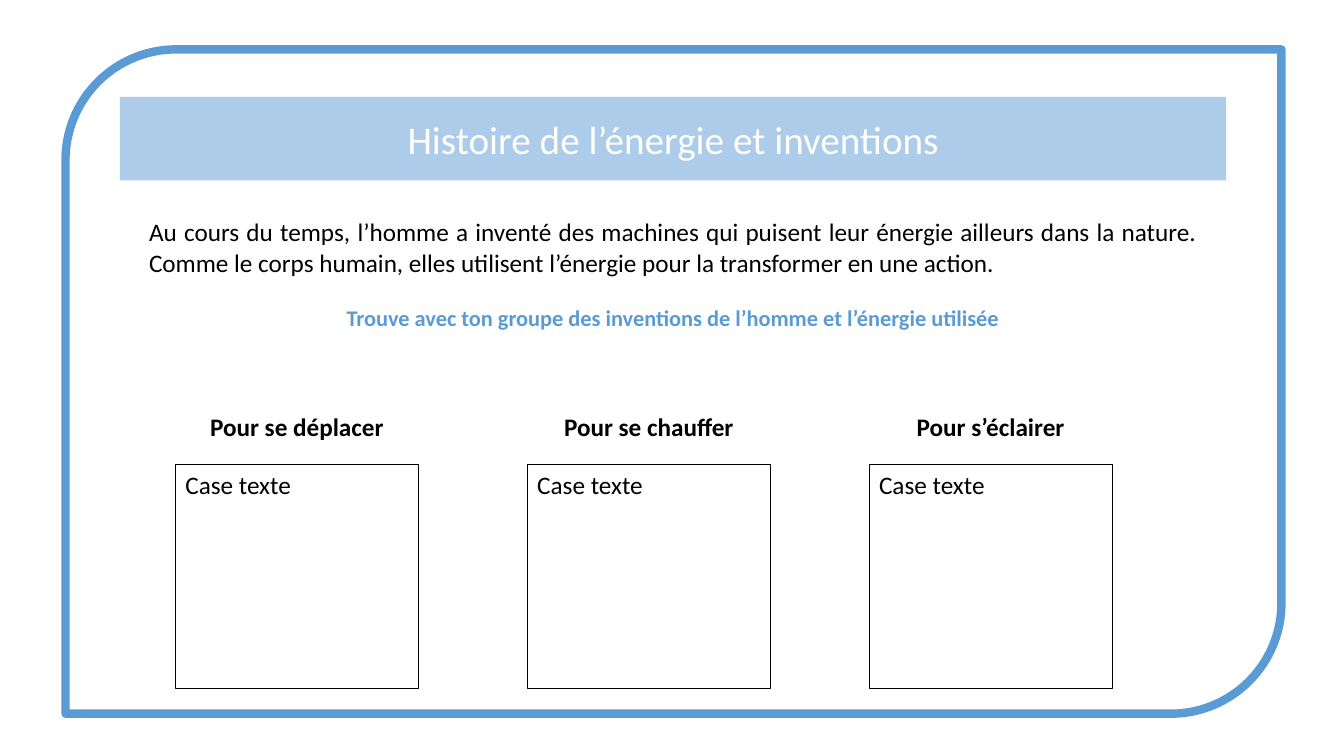
from lxml import etree
from pptx import Presentation
from pptx import util as u
from pptx.dml.color import RGBColor
from pptx.enum import shapes, text
from pptx.oxml.ns import qn

BLUE = RGBColor(0x5B, 0x9B, 0xD5)
WHITE = RGBColor(0xFF, 0xFF, 0xFF)
BLACK = RGBColor(0, 0, 0)
FONT = "Calibri"

TITLE = "Histoire de l’énergie et inventions"
INTRODUCTION = (
    "Au cours du temps, l’homme a inventé des machines qui puisent leur énergie "
    "ailleurs dans la nature. Comme le corps humain, elles utilisent l’énergie "
    "pour la transformer en une action."
)
INSTRUCTION = "Trouve avec ton groupe des inventions de l’homme et l’énergie utilisée"
COLUMNS = [
    ("Pour se déplacer", 1.74),
    ("Pour se chauffer", 5.23),
    ("Pour s’éclairer", 8.62),
]
COLUMN_WIDTH = 2.41


class Worksheet:
    def __init__(self, page):
        self.page = page

    def place(self, left, top, width, height):
        return [u.Inches(length) for length in (left, top, width, height)]

    def style(self, para, size, color=BLACK, bold=False, align=text.PP_ALIGN.LEFT):
        para.alignment = align
        for span in para.runs:
            span.font.name = FONT
            span.font.size = u.Pt(size)
            span.font.bold = bold
            span.font.color.rgb = color

    def frame(self, *area):
        box = self.page.shapes.add_shape(
            shapes.MSO_SHAPE.ROUND_2_DIAG_RECTANGLE, *self.place(*area))
        box.shadow.inherit = False
        box.fill.solid()
        box.fill.fore_color.rgb = WHITE
        box.line.color.rgb = BLUE
        box.line.width = u.Pt(6)

    def title(self, words, *area):
        box = self.page.shapes.title
        box.left, box.top, box.width, box.height = self.place(*area)
        self.page.shapes._spTree.append(box._element)
        box.fill.solid()
        box.fill.fore_color.rgb = BLUE
        color = box._element.spPr.find(qn("a:solidFill"))[0]
        etree.SubElement(color, qn("a:alpha"), val="50000")
        box.text_frame.text = words
        box.text_frame.auto_size = text.MSO_AUTO_SIZE.NONE
        box.text_frame.vertical_anchor = text.MSO_ANCHOR.MIDDLE
        self.style(box.text_frame.paragraphs[0], 28, WHITE, align=text.PP_ALIGN.CENTER)

    def text_box(self, words, *area):
        box = self.page.shapes.add_textbox(*self.place(*area))
        box.text_frame.word_wrap = True
        box.text_frame.text = words
        return box.text_frame

    def introduction(self, *area):
        body = self.text_box(INTRODUCTION, *area)
        self.style(body.paragraphs[0], 18, align=text.PP_ALIGN.JUSTIFY)
        para = body.add_paragraph()
        para.text = INSTRUCTION
        para.space_before = u.Pt(19.5)
        self.style(para, 16, BLUE, True, text.PP_ALIGN.CENTER)

    def heading(self, words, *area):
        body = self.text_box(words, *area)
        self.style(body.paragraphs[0], 18, bold=True, align=text.PP_ALIGN.CENTER)

    def answer_box(self, *area):
        box = self.page.shapes.add_shape(shapes.MSO_SHAPE.RECTANGLE, *self.place(*area))
        box.shadow.inherit = False
        box.fill.background()
        box.line.color.rgb = BLACK
        box.line.width = u.Pt(0.75)
        box.text_frame.word_wrap = True
        box.text_frame.vertical_anchor = text.MSO_ANCHOR.TOP
        box.text_frame.text = "Case texte"
        self.style(box.text_frame.paragraphs[0], 18)


def main():
    deck = Presentation()
    deck.slide_width, deck.slide_height = u.Inches(13.33), u.Inches(7.5)
    sheet = Worksheet(deck.slides.add_slide(deck.slide_layouts[5]))
    sheet.frame(0.65, 0.49, 12.06, 6.59)
    sheet.title(TITLE, 1.19, 0.96, 10.97, 0.83)
    sheet.introduction(1.38, 2.1, 10.59, 1.25)
    for words, left in COLUMNS:
        sheet.heading(words, left, 4.03, COLUMN_WIDTH, 0.4)
        sheet.answer_box(left, 4.61, COLUMN_WIDTH, 2.22)
    deck.save("out.pptx")


if __name__ == "__main__":
    main()
